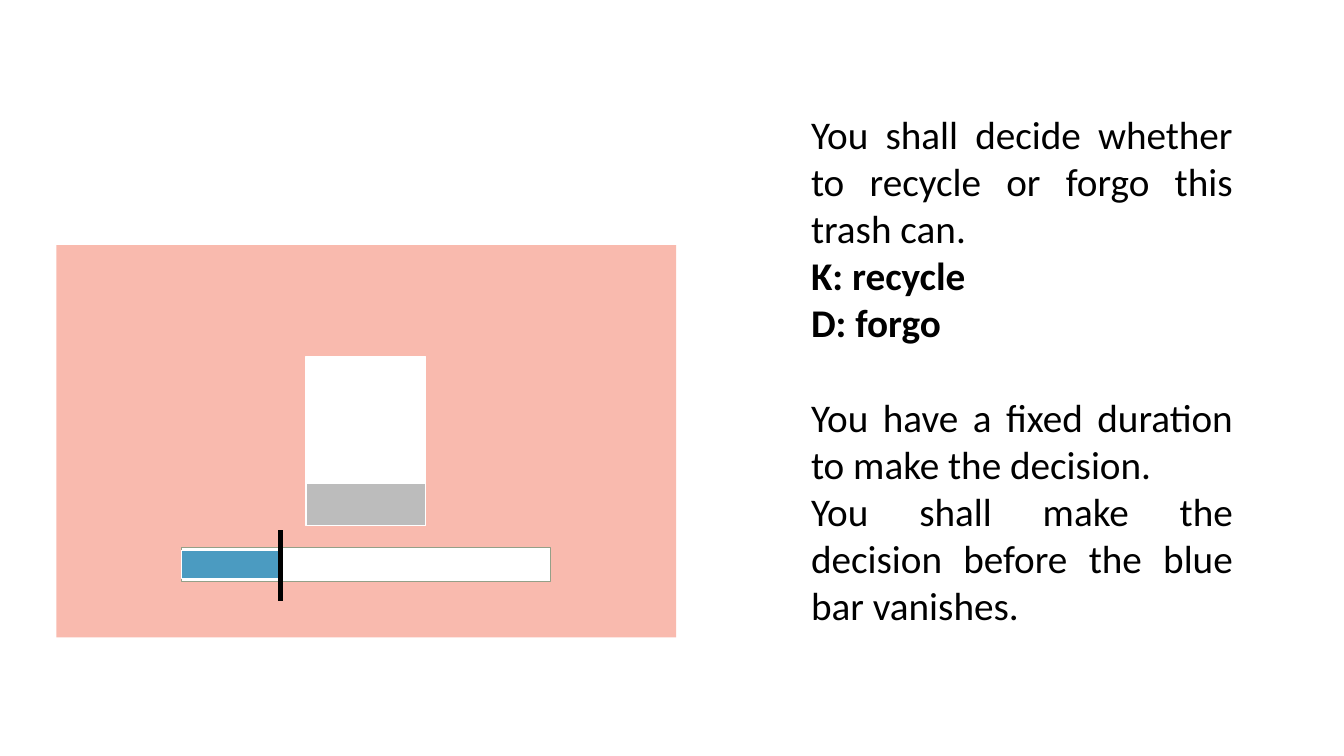
from lxml.etree import SubElement
from pptx import Presentation
from pptx.dml.color import RGBColor
from pptx.enum.shapes import MSO_CONNECTOR, MSO_SHAPE
from pptx.enum.text import PP_ALIGN
from pptx.oxml.ns import qn
from pptx.util import Cm, Pt


def color(value):
    return RGBColor.from_string(value)


def add_text(paragraph, text, size=28, bold=False, space_before=0):
    paragraph.alignment = PP_ALIGN.JUSTIFY
    paragraph.space_before = Pt(space_before)
    run = paragraph.add_run()
    run.text = text
    run.font.name = "Calibri"
    run.font.size = Pt(size)
    run.font.bold = bold
    run.font.color.rgb = color("000000")


presentation = Presentation()
presentation.slide_width = Cm(33.87)
presentation.slide_height = Cm(19.05)
slide = presentation.slides.add_slide(presentation.slide_layouts[6])

instructions = slide.shapes.add_textbox(Cm(20.19), Cm(2.66), Cm(11.13), Cm(14.63))
frame = instructions.text_frame
frame.word_wrap = True
lines = [
    ("You shall decide whether to recycle or forgo this trash can.", {}),
    ("K: recycle", {"bold": True}),
    ("D: forgo", {"bold": True}),
    ("You have a fixed duration to make the decision.", {"space_before": 33.6}),
    ("You shall make the decision before the blue bar vanishes.", {}),
]
for index, (text, text_format) in enumerate(lines):
    paragraph = frame.add_paragraph() if index else frame.paragraphs[0]
    add_text(paragraph, text, **text_format)

screen = (1.42, 6.18, 15.62, 9.88, "F9BAAE", None)
trash_can = (7.71, 8.99, 3.01, 4.26, "FFFFFF", "FFFFFF")
trash_level = (7.71, 12.17, 3.01, 1.07, "BCBCBC", "FFFFFF")
time_track = (4.57, 13.79, 9.31, 0.86, "FFFFFF", "94A088")
time_left = (4.57, 13.87, 2.54, 0.71, "4B9BC1", "FFFFFF")
rectangles = [screen, trash_can, trash_level, time_track, time_left]
for left, top, width, height, fill, line in rectangles:
    shape = slide.shapes.add_shape(
        MSO_SHAPE.RECTANGLE, Cm(left), Cm(top), Cm(width), Cm(height)
    )
    shape.shadow.inherit = False
    shape.fill.solid()
    shape.fill.fore_color.rgb = color(fill)
    if line:
        shape.line.color.rgb = color(line)
        shape.line.width = Pt(1)
    else:
        shape.line.fill.background()

time_marker = slide.shapes.add_connector(
    MSO_CONNECTOR.STRAIGHT, Cm(7.07), Cm(13.36), Cm(7.07), Cm(15.14)
)
time_marker.line.color.rgb = color("000000")
time_marker.line.width = Pt(3)
SubElement(time_marker._element.spPr, qn("a:effectLst"))

presentation.save("out.pptx")
